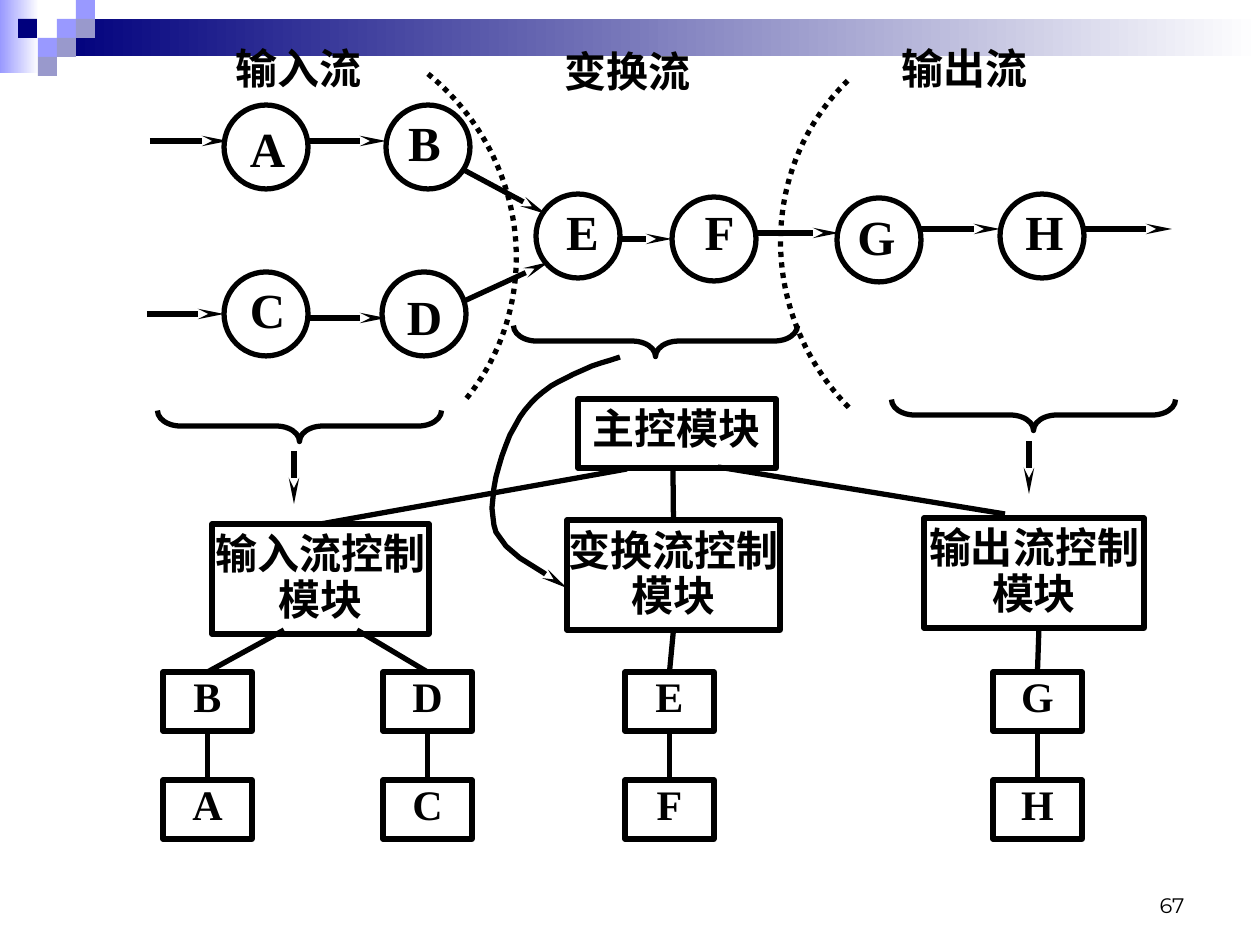
import pptx
import pptx.util
from pptx.dml.color import RGBColor
from pptx.enum.dml import MSO_LINE
from pptx.enum.shapes import MSO_CONNECTOR, MSO_SHAPE
from pptx.enum.text import MSO_ANCHOR, PP_ALIGN
from pptx.oxml import parse_xml
from pptx.oxml.ns import nsdecls, qn

PX = 914400 / 126
COLORS = {"ink": "000000", "white": "FFFFFF", "navy": "00007D",
          "violet": "9999FF", "grey": "9999CC"}
SERIF, SANS = "Times New Roman", "Montserrat"

# Content: corner decoration
BANDS = [((0, 0, 39, 73), "violet"), ((57, 19, 1203, 37), "navy")]
TILE = 19
TILES = [(57, 19, "violet"), (76, 0, "violet"), (76, 19, "grey"), (38, 38, "violet"),
         (18, 19, "navy"), (57, 38, "grey"), (38, 57, "grey")]

# Content: data flow, each node with its circle corner and letter corner
FLOW_LABELS = [("输入流", 224, 42), ("变换流", 553, 45), ("输出流", 890, 42)]
NODES = [("A", (224, 105), (231, 118)), ("B", (386, 105), (388, 112)),
         ("C", (224, 272), (231, 279)), ("D", (382, 272), (388, 286)),
         ("E", (536, 194), (546, 201)), ("F", (672, 197), (683, 201)),
         ("G", (837, 198), (840, 206)), ("H", (1000, 194), (1008, 201))]
ARROWS = [(150, 141, 228, 141), (308, 141, 386, 141), (147, 314, 224, 314),
          (308, 318, 386, 318), (462, 169, 546, 214), (462, 302, 549, 262),
          (620, 239, 672, 239), (756, 233, 839, 233), (920, 229, 1000, 229),
          (1085, 229, 1172, 229), (294, 451, 294, 504), (1029, 441, 1029, 494)]
BOUNDARIES = [((57, 16, 455, 469), 129.1), ((784, 14, 455, 469), 315.7)]
BRACES = [(284, 284), (1018, 273), (640, 199)]
CURVE = [((620, 357), (582, 369), (546, 382), (525, 410)),
         ((525, 410), (504, 437), (486, 495), (494, 525)),
         ((494, 525), (500, 554), (554, 577), (567, 588))]

# Content: module tree
MODULES = {"main": ("主控模块", (578, 399, 198, 69), 0.72),
           "input": ("输入流控制模块", (212, 524, 217, 110), 0.9),
           "transform": ("变换流控制模块", (567, 520, 213, 110), 0.9),
           "output": ("输出流控制模块", (924, 518, 220, 110), 0.9)}
COLUMNS = [("BA", 163), ("DC", 383), ("EF", 625), ("GH", 993)]
ROWS = [672, 780]

deck = pptx.Presentation()
deck.slide_width, deck.slide_height = pptx.util.Inches(10), pptx.util.Inches(7.5)
page = deck.slides.add_slide(deck.slide_layouts[6])


def emu(*lengths):
    return [round(length * PX) for length in lengths]


def color(name):
    return RGBColor.from_string(COLORS[name])


def ink_line(item, arrow=False):
    item.line.color.rgb = color("ink")
    item.line.width = pptx.util.Pt(3)
    if arrow:
        item.element.spPr.find(qn("a:ln")).append(parse_xml(
            f'<a:tailEnd {nsdecls("a")} type="stealth" w="sm" len="lg"/>'))


def add_shape(kind, frame):
    shape = page.shapes.add_shape(kind, *emu(*frame))
    shape.shadow.inherit = False
    shape.fill.background()
    shape.line.fill.background()
    return shape


def write(box, text, size, spacing=1.0, bold=True, font=SERIF,
          align=PP_ALIGN.CENTER, anchor=MSO_ANCHOR.MIDDLE, insets=(0, 0)):
    frame = box.text_frame
    frame.word_wrap = True
    frame.vertical_anchor = anchor
    frame.margin_left = frame.margin_right = pptx.util.Inches(insets[0])
    frame.margin_top = frame.margin_bottom = pptx.util.Inches(insets[1])
    para = frame.paragraphs[0]
    para.text = text
    para.alignment, para.line_spacing = align, spacing
    para.font.name, para.font.size, para.font.bold = font, pptx.util.Pt(size), bold
    para.font.color.rgb = color("ink")


def add_label(frame, text, size, **style):
    write(page.shapes.add_textbox(*emu(*frame)), text, size, **style)


def add_box(text, frame, spacing):
    box = add_shape(MSO_SHAPE.RECTANGLE, frame)
    ink_line(box)
    write(box, text, 24, spacing)
    return box


def add_line(x1, y1, x2, y2, arrow=False, start=None, end=None):
    line = page.shapes.add_connector(MSO_CONNECTOR.STRAIGHT, *emu(x1, y1, x2, y2))
    ink_line(line, arrow)
    line.element.spPr.append(parse_xml(f'<a:effectLst {nsdecls("a")}/>'))
    if start:
        line.begin_connect(start, 2)
    if end:
        line.end_connect(end, 0)


def bezier(points, t):
    weights = ((1 - t) ** 3, 3 * t * (1 - t) ** 2, 3 * t * t * (1 - t), t ** 3)
    return tuple(sum(w * p[axis] for w, p in zip(weights, points)) for axis in (0, 1))


# Corner decoration
for frame, name in BANDS:
    band = add_shape(MSO_SHAPE.RECTANGLE, frame)
    band.fill.gradient()
    band.fill.gradient_angle = 0
    for stop, shade, place in zip(band.fill.gradient_stops, (name, "white"), (0, 1)):
        stop.color.rgb, stop.position = color(shade), place
for x, y, name in TILES:
    tile = add_shape(MSO_SHAPE.RECTANGLE, (x, y, TILE, TILE))
    tile.fill.solid()
    tile.fill.fore_color.rgb = color(name)

# Data flow
for text, x, y in FLOW_LABELS:
    add_label((x, y, 150, 63), text, 24, spacing=0.72)
for letter, circle, corner in NODES:
    ink_line(add_shape(MSO_SHAPE.OVAL, (*circle, 84, 84)))
    add_label((*corner, 73, 59), letter, 28)
for ends in ARROWS:
    add_line(*ends, arrow=True)

# Flow boundaries and braces
for frame, angle in BOUNDARIES:
    arc = add_shape(MSO_SHAPE.ARC, frame)
    arc.rotation = angle
    arc.adjustments[0], arc.adjustments[1] = 108, 162  # 180 to 270 degrees
    ink_line(arc)
    arc.line.dash_style = MSO_LINE.ROUND_DOT
for x, y in BRACES:
    brace = add_shape(MSO_SHAPE.LEFT_BRACE, (x, y, 31, 284))
    brace.rotation = 270
    brace.adjustments[0] = 0.75
    ink_line(brace)

# Module tree
boxes = {name: add_box(*module) for name, module in MODULES.items()}
uppers = []
for letters, x in COLUMNS:
    upper, lower = [add_box(letter, (x, y, 89, 59), 0.72)
                    for letter, y in zip(letters, ROWS)]
    add_line(x + 44, 731, x + 44, 780, start=upper, end=lower)
    uppers.append(upper)
add_line(627, 469, 320, 524, end=boxes["input"])
add_line(673, 468, 673, 520, end=boxes["transform"])
add_line(718, 467, 1005, 514)
add_line(284, 630, 210, 672, end=uppers[0])
add_line(357, 630, 431, 672, end=uppers[1])
add_line(672, 630, 672, 672, start=boxes["transform"], end=uppers[2])
add_line(1039, 628, 1039, 672, end=uppers[3])

# Curved arrow from the transform flow to its module
STEPS = 12
points = [bezier(part, step / STEPS) for part in CURVE for step in range(1, STEPS + 1)]
builder = page.shapes.build_freeform(*CURVE[0][0], scale=PX)
builder.add_line_segments(points, close=False)
curve = builder.convert_to_shape()
curve.shadow.inherit = False
curve.fill.background()
ink_line(curve, arrow=True)

# Page number
add_label((903, 861, 294, 63), "67", 12, bold=False, font=SANS,
          align=PP_ALIGN.RIGHT, anchor=MSO_ANCHOR.BOTTOM, insets=(0.1, 0.05))

deck.save("out.pptx")
